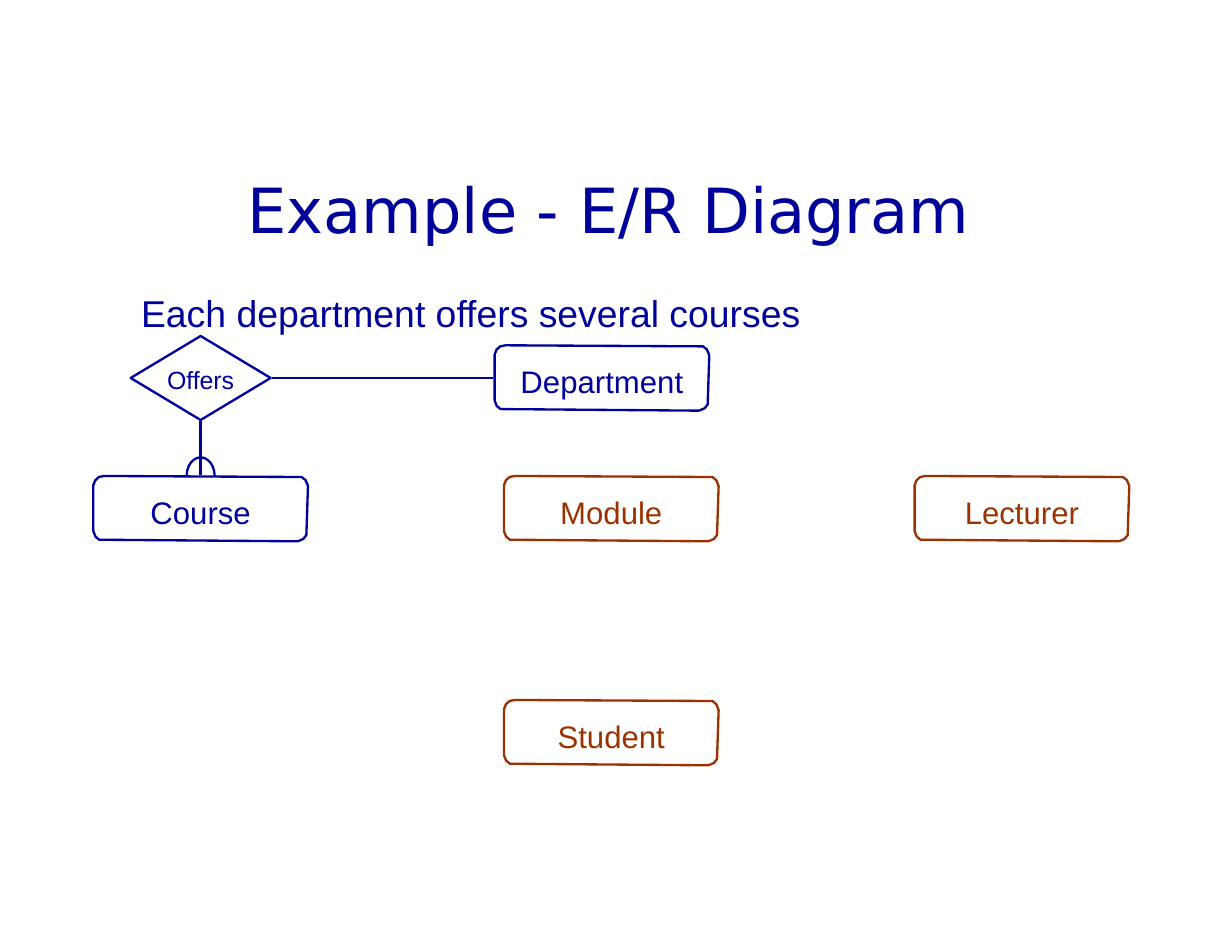
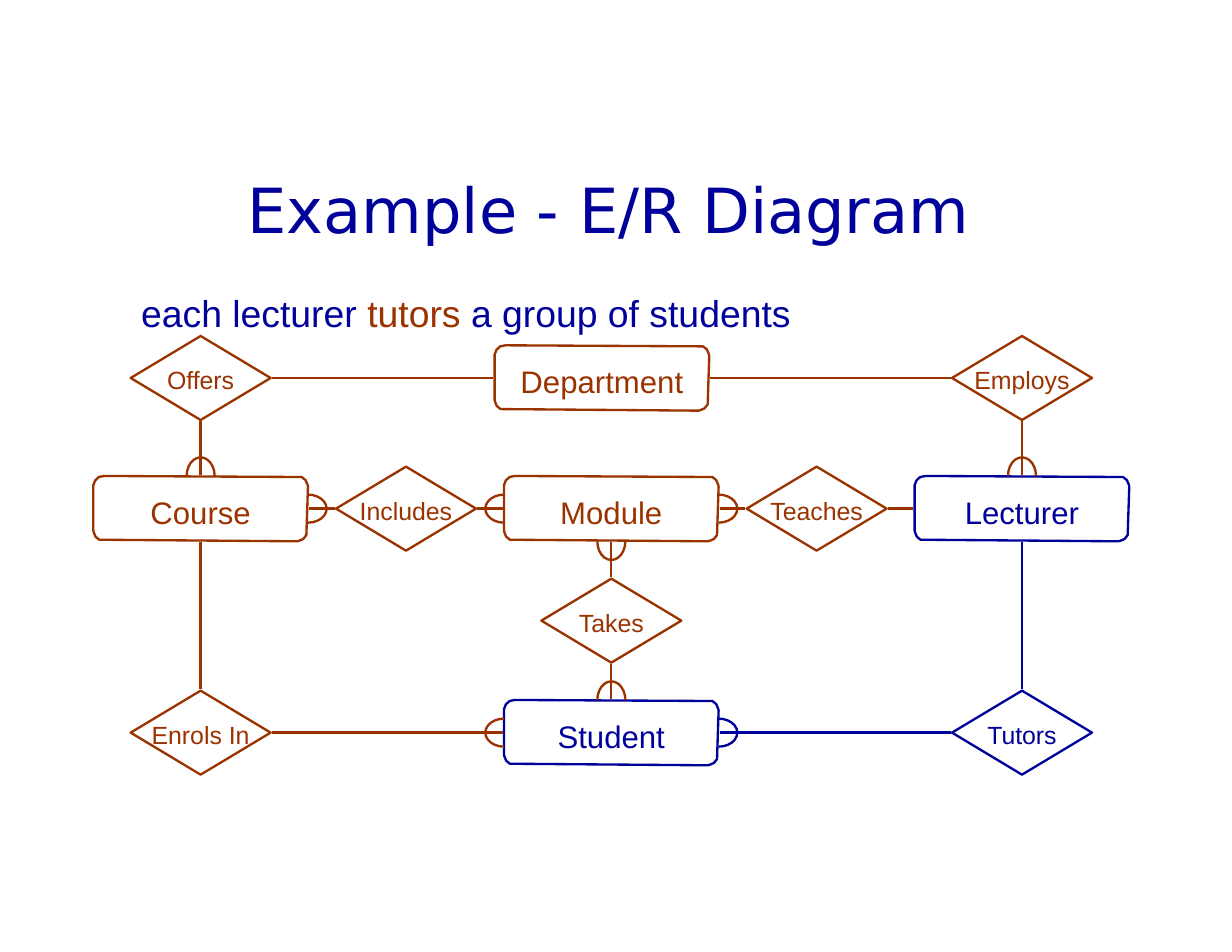
from math import cos, pi, sin

from pptx import Presentation
from pptx import util as u
from pptx.dml import color
from pptx.enum import shapes, text
from pptx.oxml import ns
from lxml import etree

BLUE, RUST = "00009A", "9A3300"
BODY_FONT, TITLE_FONT = "Arial", "DejaVu Sans"
LINE_WIDTH = 1.5
LINK_GAP = 0.75
ENTITY_SIZE = (138, 42)
RELATION_SIZE = (90, 54)
MANY_DEPTH, MANY_HALF = 12, 9

LEFT, MIDDLE, RIGHT = 69, 333, 597
TOP, CENTRE, LOWER, BOTTOM = 27, 111, 183, 255
ENTITIES = {
    "Department": (327, TOP),
    "Course": (LEFT, CENTRE),
    "Module": (MIDDLE, CENTRE),
    "Lecturer": (RIGHT, CENTRE),
    "Student": (MIDDLE, BOTTOM),
}
RELATIONS = {
    "Offers": (LEFT, TOP),
    "Employs": (RIGHT, TOP),
    "Includes": ((LEFT + MIDDLE) / 2, CENTRE),
    "Teaches": ((MIDDLE + RIGHT) / 2, CENTRE),
    "Takes": (MIDDLE, LOWER),
    "Enrols In": (LEFT, BOTTOM),
    "Tutors": (RIGHT, BOTTOM),
}
LINKS = {
    "Offers": [("Department", "one"), ("Course", "many")],
    "Employs": [("Department", "one"), ("Lecturer", "many")],
    "Includes": [("Course", "many"), ("Module", "many")],
    "Teaches": [("Module", "many"), ("Lecturer", "one")],
    "Takes": [("Module", "many"), ("Student", "many")],
    "Enrols In": [("Course", "one"), ("Student", "many")],
    "Tutors": [("Lecturer", "one"), ("Student", "many")],
}
ENTITY_OUTLINE = [
    (7, 0), (3.6, 0.7), (1.2, 2.9), (0, 6), (0, 35), (0.2, 36), (1.4, 39), (3.8, 41),
    (131, 42), (132, 41.8), (135, 40.5), (137, 38), (138, 7), (137.8, 5.8),
    (136.5, 2.7), (134, 0.7),
]


def rgb(value):
    return color.RGBColor.from_string(value)


def set_font(font, name, size, ink):
    font.name, font.size = name, u.Pt(size)
    font.color.rgb = rgb(ink)


def set_frame(frame, anchor, left=0, top=0):
    frame.margin_left, frame.margin_top = u.Pt(left), u.Pt(top)
    frame.margin_right = frame.margin_bottom = 0
    frame.vertical_anchor = anchor


def set_outline(shape, ink):
    shape.shadow.inherit = False
    shape.fill.background()
    shape.line.color.rgb = rgb(ink)
    shape.line.width = u.Pt(LINE_WIDTH)


def add_outline(page, points, ink, close):
    points = [(u.Pt(x), u.Pt(y)) for x, y in points]
    builder = page.shapes.build_freeform(*points[0], scale=1.0)
    builder.add_line_segments(points[1:], close=close)
    shape = builder.convert_to_shape()
    set_outline(shape, ink)
    return shape


def add_label(shape, label, size, drop, ink):
    frame = shape.text_frame
    set_frame(frame, text.MSO_ANCHOR.MIDDLE, top=drop)
    frame.word_wrap = False
    para = frame.paragraphs[0]
    para.text = label
    para.alignment = text.PP_ALIGN.CENTER
    set_font(para.font, BODY_FONT, size, ink)


def add_entity(page, name, x, y, ink):
    width, height = ENTITY_SIZE
    points = [(x - width / 2 + dx, y - height / 2 + dy) for dx, dy in ENTITY_OUTLINE]
    add_label(add_outline(page, points, ink, True), name, 20, 4, ink)


def add_relation(page, name, x, y, ink):
    width, height = RELATION_SIZE
    diamond = page.shapes.add_shape(
        shapes.MSO_SHAPE.DIAMOND,
        u.Pt(x - width / 2), u.Pt(y - height / 2), u.Pt(width), u.Pt(height))
    set_outline(diamond, ink)
    add_label(diamond, name, 16, 2, ink)


def add_line(page, start, end, ink):
    line = page.shapes.add_connector(
        shapes.MSO_CONNECTOR.STRAIGHT, *[u.Pt(value) for value in (*start, *end)])
    line.line.color.rgb = rgb(ink)
    line.line.width = u.Pt(LINE_WIDTH)
    etree.SubElement(line._element.spPr, ns.qn("a:effectLst"))


def add_many_mark(page, x, y, across, down, ink):
    points = []
    for step in range(13):
        angle = pi * step / 12 - pi / 2
        depth, side = MANY_DEPTH * cos(angle), MANY_HALF * sin(angle)
        points.append((x + across * depth - down * side, y + down * depth + across * side))
    add_outline(page, points, ink, False)


def add_link(page, entity, relation, kind, ink):
    (ex, ey), (rx, ry) = entity, relation
    if ey == ry:
        across, down, axis = (1 if rx > ex else -1), 0, 0
    else:
        across, down, axis = 0, (1 if ry > ey else -1), 1
    near = ENTITY_SIZE[axis] / 2
    far = RELATION_SIZE[axis] / 2 + LINK_GAP
    start = (ex + across * (near + LINK_GAP), ey + down * (near + LINK_GAP))
    end = (rx - across * far, ry - down * far)
    add_line(page, start, end, ink)
    if kind == "many":
        add_many_mark(page, ex + across * near, ey + down * near, across, down, ink)


def add_diagram(page, left, top, relations, active):
    def place(centre):
        return left + centre[0], top + centre[1]

    def ink_of(name):
        return BLUE if name in active else RUST

    for name, centre in ENTITIES.items():
        add_entity(page, name, *place(centre), ink_of(name))
    for name in relations:
        centre = place(RELATIONS[name])
        add_relation(page, name, *centre, ink_of(name))
        for entity, kind in LINKS[name]:
            add_link(page, place(ENTITIES[entity]), centre, kind, ink_of(name))


def add_title(page, left, top, width, height):
    title = page.shapes.title
    title.left, title.top, title.width, title.height = map(u.Pt, (left, top, width, height))
    frame = title.text_frame
    set_frame(frame, text.MSO_ANCHOR.TOP, left=55.5)
    frame.auto_size = text.MSO_AUTO_SIZE.SHAPE_TO_FIT_TEXT
    para = frame.paragraphs[0]
    para.text = "Example - E/R Diagram"
    para.alignment = text.PP_ALIGN.LEFT
    para.line_spacing = u.Pt(46.9)
    set_font(para.font, TITLE_FONT, 40, BLUE)


def add_sentence(page, left, top, width, height, spans):
    box = page.shapes.add_textbox(*map(u.Pt, (left, top, width, height)))
    frame = box.text_frame
    set_frame(frame, text.MSO_ANCHOR.TOP, left=0.75)
    frame.word_wrap = True
    para = frame.paragraphs[0]
    para.line_spacing = u.Pt(28.6)
    set_font(para.font, BODY_FONT, 24, BLUE)
    for words, ink in spans:
        span = para.add_run()
        span.text = words
        if ink != BLUE:
            span.font.color.rgb = rgb(ink)


def add_page(deck, spans, relations, active):
    page = deck.slides.add_slide(deck.slide_layouts[5])
    add_title(page, 103.7, 110.9, 584.6, 41.8)
    add_diagram(page, 60, 216, relations, active)
    add_sentence(page, 90, 187, 426, 24, spans)


def main():
    deck = Presentation()
    deck.slide_width, deck.slide_height = u.Pt(792), u.Pt(612)
    add_page(deck, [("Each department offers several courses", BLUE)],
             ["Offers"], {"Department", "Course", "Offers"})
    add_page(deck, [("each lecturer ", BLUE), ("tutors ", RUST), ("a group of students", BLUE)],
             RELATIONS, {"Lecturer", "Student", "Tutors"})
    deck.save("out.pptx")


if __name__ == "__main__":
    main()
